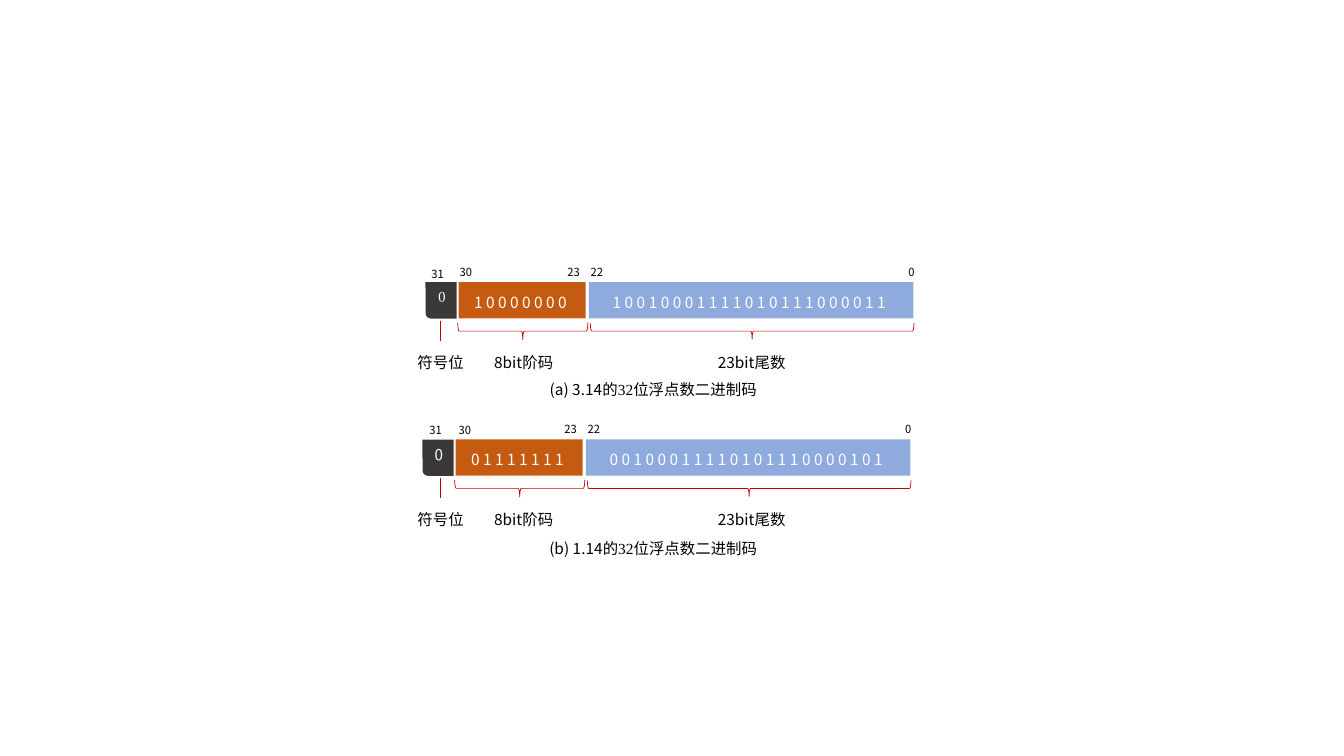
"""Build a slide that compares the 32-bit floating-point codes of 3.14 and 1.14."""
from dataclasses import dataclass

from lxml.etree import SubElement
from pptx import Presentation
from pptx.dml.color import RGBColor
from pptx.enum.shapes import MSO_CONNECTOR, MSO_SHAPE
from pptx.enum.text import MSO_ANCHOR, PP_ALIGN
from pptx.oxml.ns import qn
from pptx.util import Inches, Pt


@dataclass(frozen=True)
class Theme:
    sans: str = "Noto Sans CJK SC"
    serif: str = "Times New Roman"
    body: float = 11
    small: float = 10.5
    index: float = 8
    leading: float = 15.6
    stroke: float = 0.5
    black: RGBColor = RGBColor(0, 0, 0)
    white: RGBColor = RGBColor(255, 255, 255)
    sign: RGBColor = RGBColor.from_string("3B3838")
    exponent: RGBColor = RGBColor.from_string("C55A11")
    mantissa: RGBColor = RGBColor.from_string("8FAADC")
    mark: RGBColor = RGBColor.from_string("C00000")


theme = Theme()


def write_text(shape, runs, size=theme.body, color=theme.black,
               align=PP_ALIGN.CENTER, anchor=MSO_ANCHOR.MIDDLE):
    """Fill a shape with one paragraph of (text, font) runs."""
    frame = shape.text_frame
    frame.word_wrap = True
    frame.vertical_anchor = anchor
    paragraph = frame.paragraphs[0]
    paragraph.alignment = align
    paragraph.line_spacing = Pt(theme.leading)
    for text, font_name in runs:
        run = paragraph.add_run()
        run.text = text
        for name, value in {"name": font_name, "size": Pt(size)}.items():
            setattr(run.font, name, value)
        run.font.color.rgb = color
        SubElement(run.font._element, qn("a:ea")).set("typeface", theme.sans)


def add_shape(shapes, kind, box, fill=None, rotation=0):
    """Add a filled shape without outline, or an outlined one without fill."""
    shape = shapes.add_shape(kind, *map(Inches, box))
    shape.shadow.inherit = False
    shape.rotation = rotation
    if fill is None:
        shape.fill.background()
        shape.line.color.rgb = theme.mark
        shape.line.width = Pt(theme.stroke)
    else:
        shape.fill.solid()
        shape.fill.fore_color.rgb = fill
        shape.line.fill.background()
    return shape


presentation = Presentation()
presentation.slide_width = Inches(13.33)
presentation.slide_height = Inches(7.5)
slide = presentation.slides.add_slide(presentation.slide_layouts[6])
shapes = slide.shapes.add_group_shape().shapes

panels = [
    {"shift": 0, "drop": 0, "caption": "(a) 3.14", "caption_top": 3.65,
     "sign_style": (theme.serif, theme.small),
     "bits": ("10000000", "10010001111010111000011"),
     "indices": [("31", 4.18, 2.52), ("30", 4.46, 2.5), ("23", 5.53, 2.5),
                 ("22", 5.76, 2.5), ("0", 8.91, 2.5)]},
    {"shift": -0.03, "drop": 1.56, "caption": "(b) 1.14", "caption_top": 5.23,
     "sign_style": (theme.sans, theme.body),
     "bits": ("01111111", "00100011110101110000101"),
     "indices": [("31", 4.16, 4.07), ("30", 4.45, 4.07), ("23", 5.5, 4.06),
                 ("22", 5.73, 4.06), ("0", 8.88, 4.06)]},
]
fields = [(4.55, 1.26, theme.exponent), (5.84, 3.22, theme.mantissa)]
braces = [(5.1, 2.64, 0.17, 1.29), (7.38, 1.68, 0.16, 3.21)]
field_names = [
    ((3.98, 3.38, 0.78, 0.39), [("符号位", theme.serif)]),
    ((4.71, 3.38, 0.97, 0.39), [("8bit", theme.sans), ("阶码", theme.serif)]),
    ((6.6, 3.42, 1.71, 0.31), [("23bit", theme.sans), ("尾数", theme.serif)]),
]

for panel in panels:
    shift, drop = panel["shift"], panel["drop"]

    for left, top, width, height in braces:
        add_shape(shapes, MSO_SHAPE.LEFT_BRACE,
                  (left + shift, top + drop, width, height), rotation=270)

    for text, left, top in panel["indices"]:
        width = 0.33 if len(text) > 1 else 0.28
        index_box = shapes.add_textbox(*map(Inches, (left, top, width, 0.44)))
        write_text(index_box, [(text, theme.sans)], size=theme.index,
                   align=PP_ALIGN.JUSTIFY, anchor=MSO_ANCHOR.TOP)

    sign = add_shape(shapes, MSO_SHAPE.ROUND_1_RECTANGLE,
                     (4.22 + shift, 2.8 + drop, 0.31, 0.36), theme.sign, 180)
    sign_font, sign_size = panel["sign_style"]
    write_text(sign, [("0", sign_font)], size=sign_size, color=theme.white)

    for (left, width, fill), bits in zip(fields, panel["bits"]):
        field = add_shape(shapes, MSO_SHAPE.RECTANGLE,
                          (left + shift, 2.8 + drop, width, 0.36), fill)
        write_text(field, [(" ".join(bits) + " ", theme.sans)], color=theme.white)

    for (left, top, width, height), runs in field_names:
        name_box = shapes.add_textbox(*map(Inches, (left, top + drop, width, height)))
        write_text(name_box, runs)

    caption = shapes.add_textbox(*map(Inches, (5.15, panel["caption_top"], 2.66, 0.39)))
    write_text(caption, [(panel["caption"], theme.sans),
                         ("的32位浮点数二进制码", theme.serif)])

    sign_line = shapes.add_connector(
        MSO_CONNECTOR.STRAIGHT,
        *map(Inches, (4.37, 3.18 + drop, 4.37, 3.38 + drop)))
    sign_line.line.color.rgb = theme.mark
    sign_line.line.width = Pt(theme.stroke)
    SubElement(sign_line._element.spPr, qn("a:effectLst"))

presentation.save("out.pptx")
